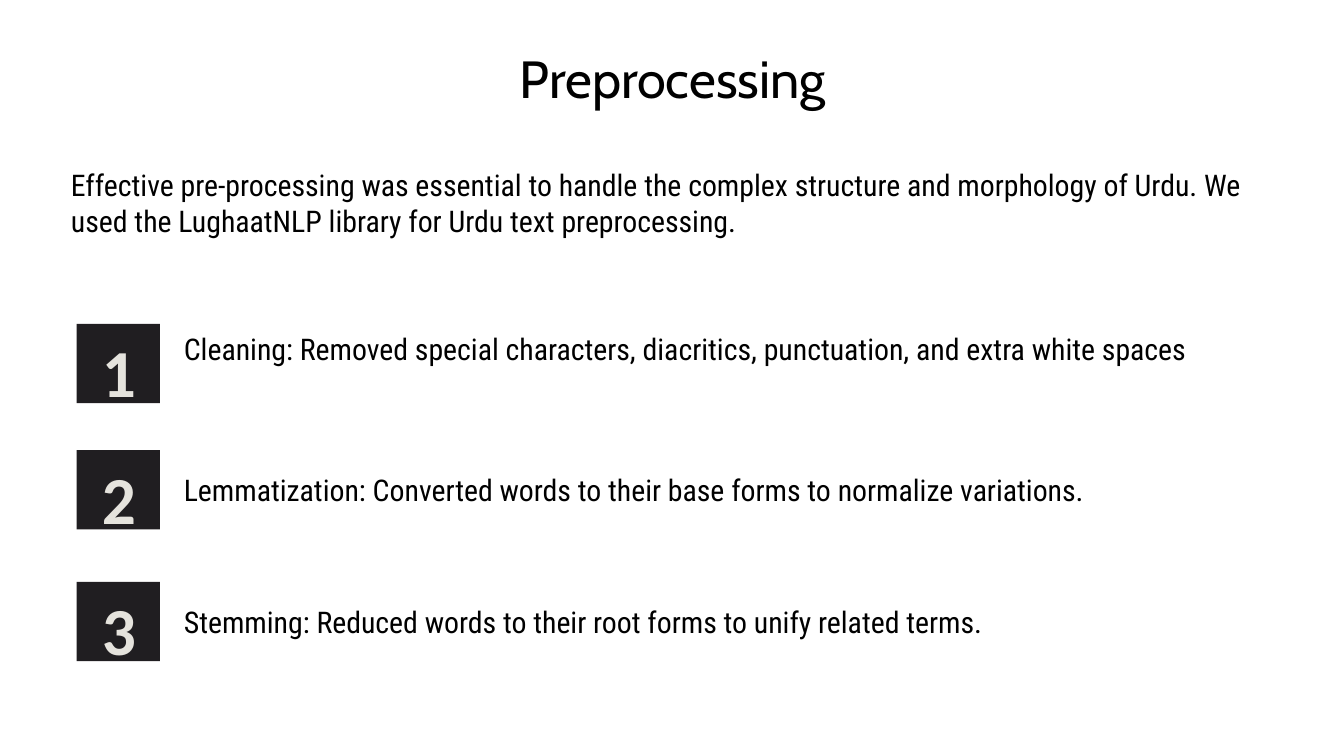
from dataclasses import dataclass

from pptx import Presentation
from pptx import slide as sl
from pptx import util as u
from pptx.dml import color as c
from pptx.enum import shapes, text
from pptx.text import text as t


@dataclass(frozen=True)
class Theme:
    ink: c.RGBColor = c.RGBColor(0, 0, 0)
    tile: c.RGBColor = c.RGBColor(0x20, 0x1E, 0x21)
    number: c.RGBColor = c.RGBColor(0xE5, 0xE3, 0xDD)
    title_font: str = "Cabin"
    body_font: str = "Roboto Condensed"
    number_font: str = "Calibri"
    title_size: int = 28
    body_size: int = 16
    number_size: int = 36


@dataclass(frozen=True)
class Step:
    number: int
    tile_top: float
    text_top: float
    text_height: float
    words: str


THEME = Theme()
INTRO = (
    "Effective pre-processing was essential to handle the complex structure and "
    "morphology of Urdu. We used the LughaatNLP library for Urdu text preprocessing."
)
STEPS = [
    Step(1, 2.41, 2.41, 0.37,
         "Cleaning: Removed special characters, diacritics, punctuation, and extra white spaces"),
    Step(2, 3.35, 3.46, 0.37,
         "Lemmatization: Converted words to their base forms to normalize variations."),
    Step(3, 4.33, 4.44, 0.64,
         "Stemming: Reduced words to their root forms to unify related terms."),
]


def write(tf: t.TextFrame, words: str, font: str, size: int, color: c.RGBColor,
          align: text.PP_ALIGN = text.PP_ALIGN.LEFT, bold: bool = False) -> None:
    tf.word_wrap = True
    p = tf.paragraphs[0]
    p.text = words
    p.alignment = align
    p.font.name = font
    p.font.size = u.Pt(size)
    p.font.bold = bold
    p.font.color.rgb = color


def set_margins(tf: t.TextFrame, margin: float) -> None:
    tf.margin_left = tf.margin_right = tf.margin_top = tf.margin_bottom = u.Inches(margin)


def add_title(s: sl.Slide, words: str) -> None:
    sp = s.shapes.title
    sp.left, sp.top, sp.width, sp.height = map(u.Inches, (0.2, 0.31, 9.61, 0.53))
    tf = sp.text_frame
    set_margins(tf, 0.1)
    tf.vertical_anchor = text.MSO_ANCHOR.MIDDLE
    write(tf, words, THEME.title_font, THEME.title_size, THEME.ink, text.PP_ALIGN.CENTER)


def add_body(s: sl.Slide, words: str, left: float, top: float, width: float, height: float) -> None:
    sp = s.shapes.add_textbox(*map(u.Inches, (left, top, width, height)))
    write(sp.text_frame, words, THEME.body_font, THEME.body_size, THEME.ink)


def add_step(s: sl.Slide, step: Step) -> None:
    tile = s.shapes.add_shape(shapes.MSO_SHAPE.RECTANGLE, u.Inches(0.57), u.Inches(step.tile_top),
                              u.Inches(0.62), u.Inches(0.59))
    tile.shadow.inherit = False
    tile.fill.solid()
    tile.fill.fore_color.rgb = THEME.tile
    tile.line.fill.background()

    number = s.shapes.add_textbox(u.Inches(0.74), u.Inches(step.tile_top - 0.07),
                                  u.Inches(0.29), u.Inches(0.73))
    tf = number.text_frame
    set_margins(tf, 0)
    write(tf, str(step.number), THEME.number_font, THEME.number_size, THEME.number,
          text.PP_ALIGN.CENTER, bold=True)
    tf.paragraphs[0].line_spacing = 1.2

    add_body(s, step.words, 1.27, step.text_top, 8.04, step.text_height)


def main() -> None:
    prs = Presentation()
    prs.slide_width = u.Inches(10)
    prs.slide_height = prs.slide_width * 9 // 16
    s = prs.slides.add_slide(prs.slide_layouts[5])
    add_title(s, "Preprocessing")
    add_body(s, INTRO, 0.43, 1.19, 9.14, 0.88)
    for step in STEPS:
        add_step(s, step)
    prs.save("out.pptx")


if __name__ == "__main__":
    main()
